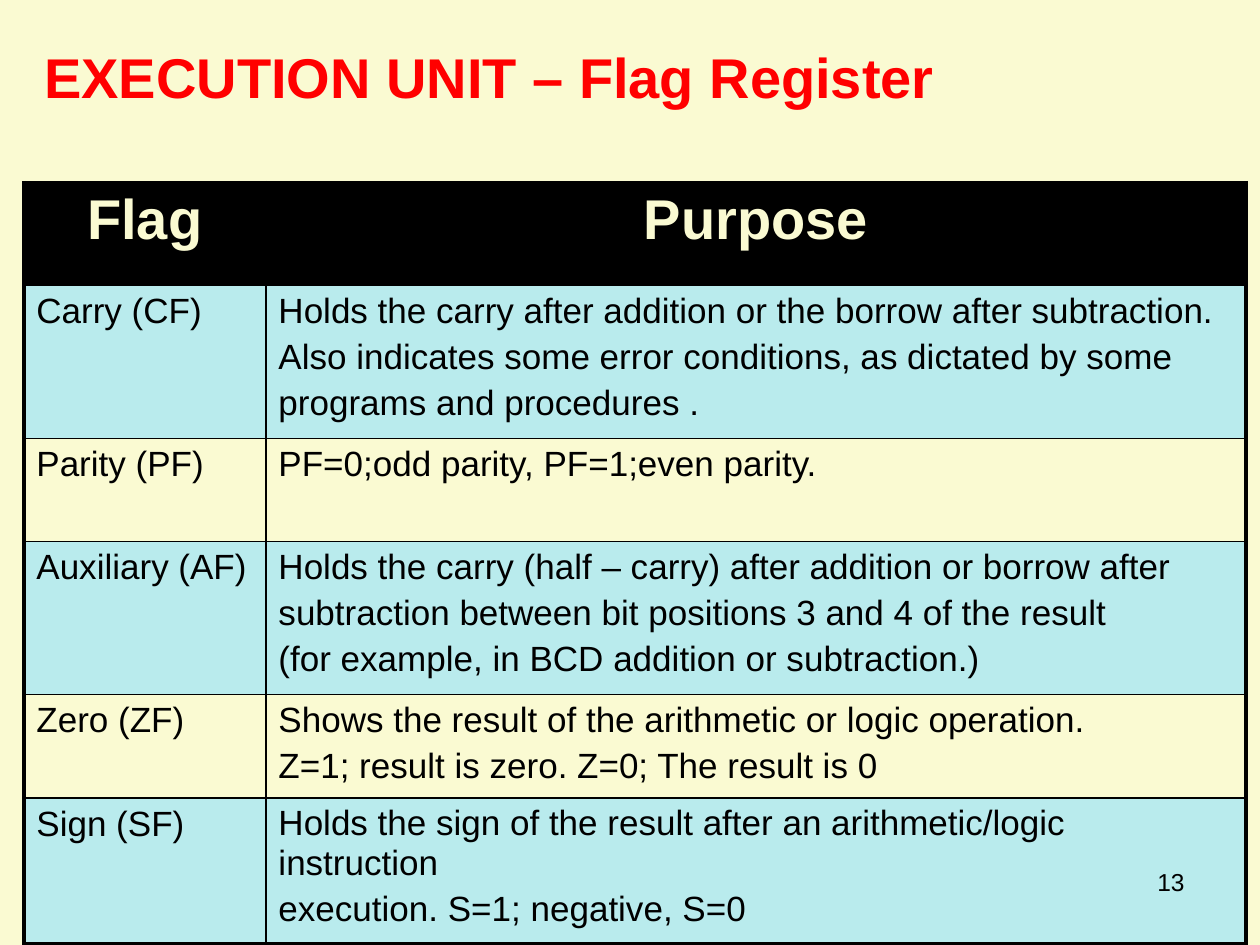
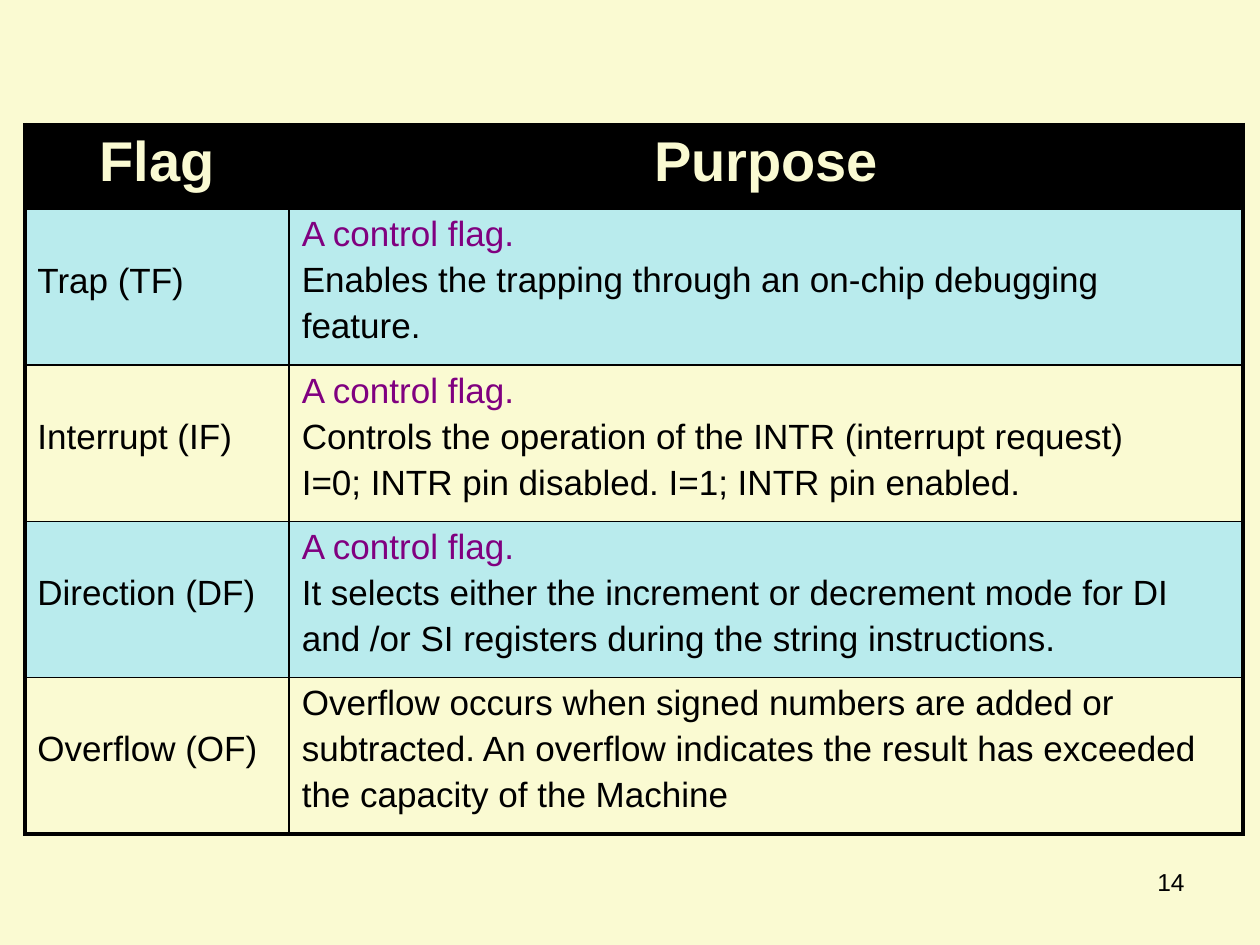
from lxml import etree
from pptx import Presentation
from pptx.dml.color import RGBColor
from pptx.enum.text import MSO_ANCHOR, PP_ALIGN
from pptx.oxml.ns import qn
from pptx.util import Cm, Pt

LEFT, CENTER, RIGHT = PP_ALIGN.LEFT, PP_ALIGN.CENTER, PP_ALIGN.RIGHT
TOP, BOTTOM = MSO_ANCHOR.TOP, MSO_ANCHOR.BOTTOM

FONT = "Arial"
CREAM, BLACK, AQUA = "FAFAD2", "000000", "B9EBED"
RED, PURPLE, GRAY = "FF0000", "800080", "666666"
OUTER_LINE, INNER_LINE = 2.25, 1

HEADINGS = ("Flag", "Purpose")
CONTROL = "A control flag."

SLIDES = [
    {
        "title": "EXECUTION UNIT – Flag Register",
        "number": "13",
        "corner": (0.48, 3.68),
        "columns": (4.88, 19.76),
        "heights": (2.08, 2.9, 2.08, 2.9, 2.08, 2.74),
        "flag_drop": 0,
        "flags": [
            ("Carry (CF)", [
                "Holds the carry after addition or the borrow after subtraction.",
                "Also indicates some error conditions, as dictated by some",
                "programs and procedures .",
            ]),
            ("Parity (PF)", ["PF=0;odd parity, PF=1;even parity."]),
            ("Auxiliary (AF)", [
                "Holds the carry (half – carry) after addition or borrow after",
                "subtraction between bit positions 3 and 4 of the result",
                "(for example, in BCD addition or subtraction.)",
            ]),
            ("Zero (ZF)", [
                "Shows the result of the arithmetic or logic operation.",
                "Z=1; result is zero. Z=0; The result is 0",
            ]),
            ("Sign (SF)", [
                "Holds the sign of the result after an arithmetic/logic instruction",
                "execution. S=1; negative, S=0",
            ]),
        ],
    },
    {
        "title": None,
        "number": "14",
        "corner": (0.5, 2.51),
        "columns": (5.33, 19.23),
        "heights": (1.7, 3.15, 3.15, 3.15, 3.15),
        "flag_drop": 0.93,  # puts the flag name level with the second line
        "flags": [
            ("Trap (TF)", [
                CONTROL,
                "Enables the trapping through an on-chip debugging",
                "feature.",
            ]),
            ("Interrupt (IF)", [
                CONTROL,
                "Controls the operation of the INTR (interrupt request)",
                "I=0; INTR pin disabled. I=1; INTR pin enabled.",
            ]),
            ("Direction (DF)", [
                CONTROL,
                "It selects either the increment or decrement mode for DI",
                "and /or SI registers during the string instructions.",
            ]),
            ("Overflow (OF)", [
                "Overflow occurs when signed numbers are added or",
                "subtracted. An overflow indicates the result has exceeded",
                "the capacity of the Machine",
            ]),
        ],
    },
]


def color(hex_string):
    return RGBColor.from_string(hex_string)


def write_lines(frame, lines, size, text_color, bold=False, align=LEFT):
    """Write one paragraph per line, with a gap of a fifth of the size between."""
    for index, line in enumerate(lines):
        paragraph = frame.add_paragraph() if index else frame.paragraphs[0]
        paragraph.alignment = align
        if index:
            paragraph.space_before = Pt(size / 5)
        run = paragraph.add_run()
        run.text = line
        run.font.name = FONT
        run.font.size = Pt(size)
        run.font.bold = bold
        run.font.color.rgb = color(PURPLE if line == CONTROL else text_color)


def add_text(slide, box, text, size, text_color, anchor=TOP, **style):
    shape = slide.shapes.add_textbox(*(Cm(length) for length in box))
    shape.text_frame.word_wrap = True
    shape.text_frame.vertical_anchor = anchor
    write_lines(shape.text_frame, [text], size, text_color, **style)
    return shape


def add_text_shadow(shape):
    for run in shape.text_frame.paragraphs[0].runs:
        fill = run.font.fill._xPr.find(qn("a:solidFill"))
        effects = etree.Element(qn("a:effectLst"))
        shadow = etree.SubElement(effects, qn("a:outerShdw"),
                                  dist="35921", dir="2700000", algn="ctr")
        etree.SubElement(shadow, qn("a:srgbClr"), val=GRAY)
        fill.addnext(effects)


def set_borders(cell, widths):
    """Draw the left, right, top and bottom lines, with widths in points."""
    properties = cell._tc.get_or_add_tcPr()
    for index, (side, width) in enumerate(zip("LRTB", widths)):
        line = etree.Element(qn(f"a:ln{side}"), w=str(Pt(width)))
        fill = etree.SubElement(line, qn("a:solidFill"))
        etree.SubElement(fill, qn("a:srgbClr"), val=BLACK)
        properties.insert(index, line)


def add_flag_table(slide, content):
    columns, heights = content["columns"], content["heights"]
    table = slide.shapes.add_table(
        len(heights), len(columns), *(Cm(length) for length in content["corner"]),
        Cm(sum(columns)), Cm(sum(heights))).table
    table.first_row = table.horz_banding = False
    for column, width in zip(table.columns, columns):
        column.width = Cm(width)
    for row, height in zip(table.rows, heights):
        row.height = Cm(height)

    rows = [[[heading] for heading in HEADINGS]]
    rows += [[[flag], purpose] for flag, purpose in content["flags"]]
    last_row, last_column = len(rows) - 1, len(columns) - 1
    for row_index, row in enumerate(rows):
        for column_index, lines in enumerate(row):
            cell = table.cell(row_index, column_index)
            if row_index == 0:
                write_lines(cell.text_frame, lines, 32, CREAM, True, CENTER)
            else:
                write_lines(cell.text_frame, lines, 20, BLACK)
                if column_index == 0:
                    cell.margin_top = Cm(0.13 + content["flag_drop"])
            if row_index and row_index % 2 == 0:
                cell.fill.background()
            else:
                cell.fill.solid()
                cell.fill.fore_color.rgb = color(AQUA if row_index else BLACK)
            on_edge = (column_index == 0, column_index == last_column,
                       row_index == 0, row_index == last_row)
            set_borders(cell, [OUTER_LINE if edge else INNER_LINE for edge in on_edge])


def add_flag_slide(presentation, content):
    slide = presentation.slides.add_slide(presentation.slide_layouts[6])
    slide.background.fill.solid()
    slide.background.fill.fore_color.rgb = color(CREAM)
    if content["title"]:
        title = add_text(slide, (0.64, 0.64, 23.06, 1.7), content["title"],
                         32, RED, BOTTOM, bold=True)
        add_text_shadow(title)
    add_flag_table(slide, content)
    add_text(slide, (18.21, 17.35, 5.92, 1.32), content["number"],
             14, BLACK, align=RIGHT)


def main():
    presentation = Presentation()
    presentation.slide_width, presentation.slide_height = Cm(25.4), Cm(19.05)
    for content in SLIDES:
        add_flag_slide(presentation, content)
    presentation.save("out.pptx")


if __name__ == "__main__":
    main()
